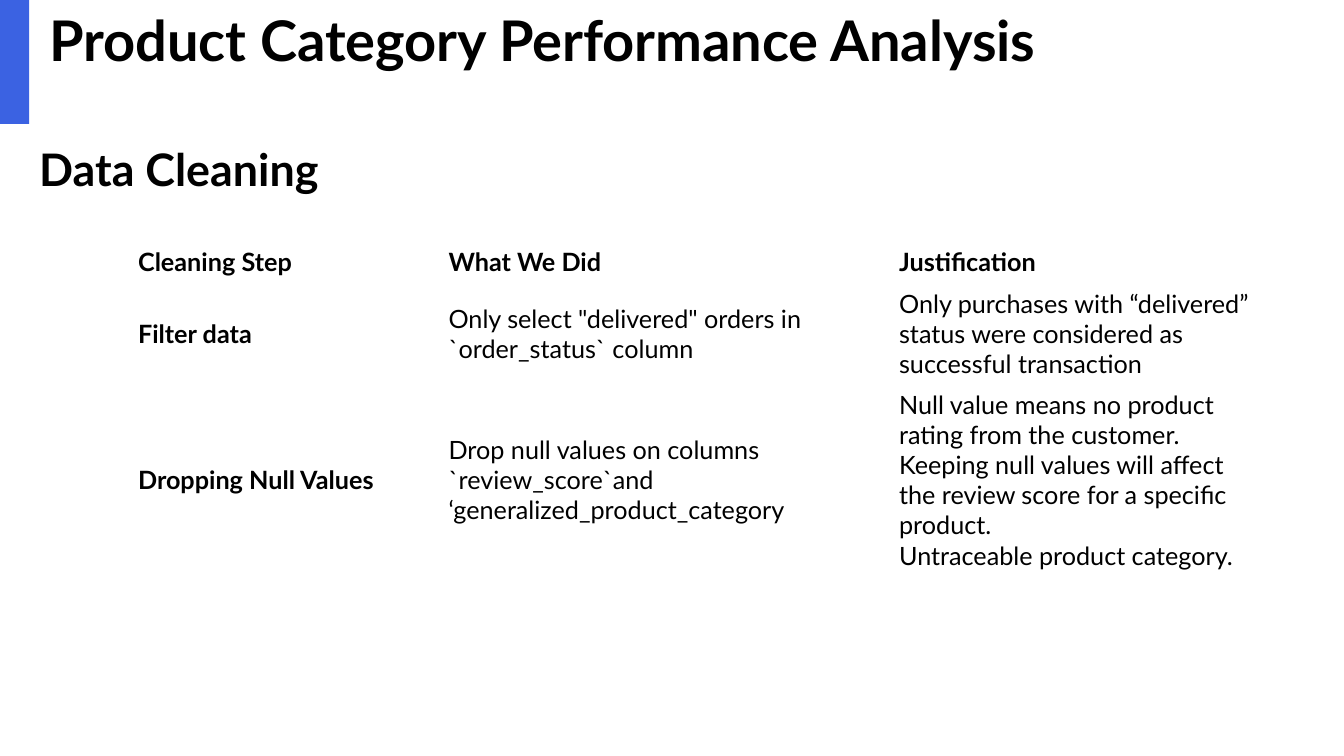
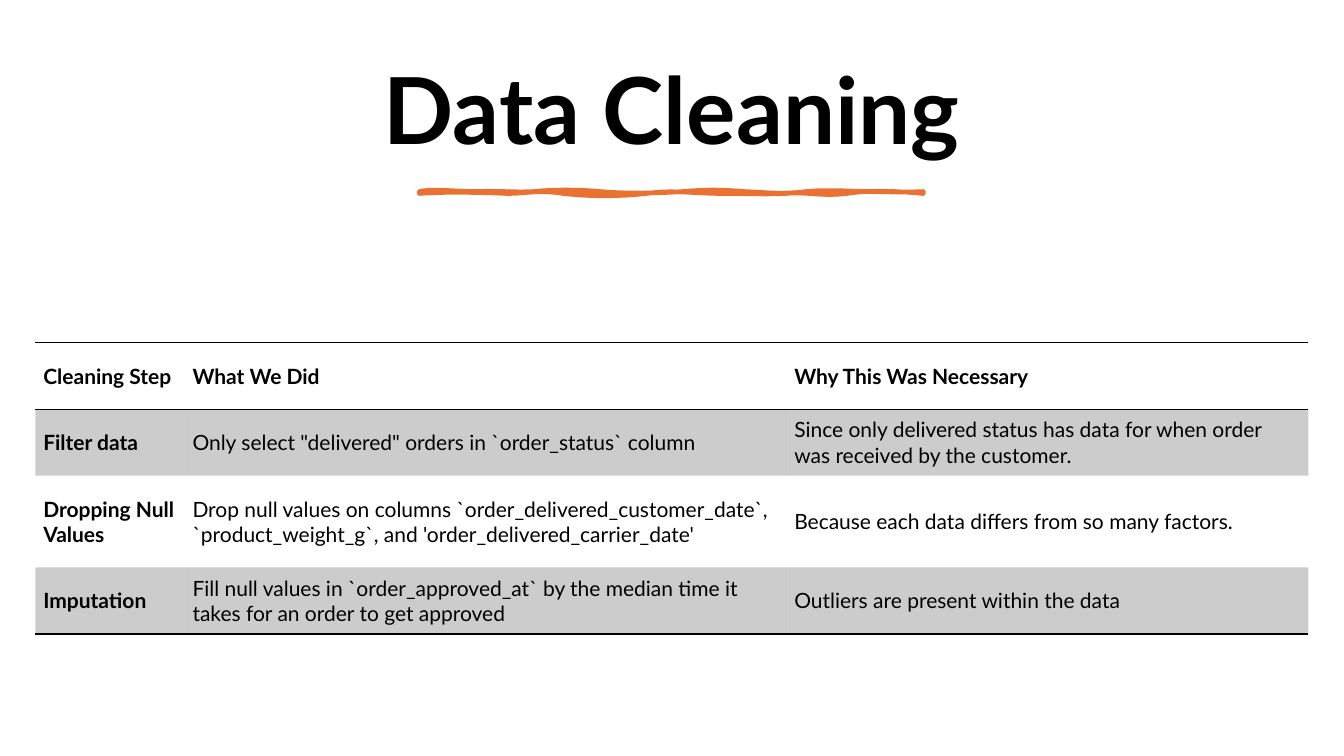
from lxml import etree
from pptx import Presentation
from pptx import util as u
from pptx.dml.color import RGBColor
from pptx.enum import shapes, text
from pptx.oxml import ns

PX = 9144  # EMU in one px, 100 px to the inch
FONT = "Lato"
COLORS = {"ink": "000000", "blue": "3B62E2", "rust": "E97132"}
PLAIN = "{2D5ABB26-0587-4C30-8999-92F81FD0307C}"  # table style without grid

STEPS = [
    ["Cleaning Step", "What We Did", "Justification"],
    ["Filter data",
     'Only select "delivered" orders in `order_status` column',
     "Only purchases with “delivered” status were considered as "
     "successful transaction"],
    ["Dropping Null Values",
     "Drop null values on columns `review_score`and\n"
     "‘generalized_product_category",
     "Null value means no product rating from the customer. Keeping null "
     "values will affect the review score for a specific product.\n"
     "Untraceable product category."],
    ["", "", ""],
]
REASONS = [
    ["Cleaning Step", "What We Did", "Why This Was Necessary"],
    ["Filter data",
     'Only select "delivered" orders in `order_status` column',
     "Since only delivered status has data for when order was received "
     "by the customer."],
    ["Dropping Null Values",
     "Drop null values on columns `order_delivered_customer_date`, "
     "`product_weight_g`, and 'order_delivered_carrier_date'",
     "Because each data differs from so many factors."],
    ["Imputation",
     "Fill null values in `order_approved_at` by the median time it takes "
     "for an order to get approved",
     "Outliers are present within the data"],
]

# Brush stroke: start point, then cubic curves (two handles and an end)
START = (416, 190)
CURVES = [
    (428, 187, 454, 190, 473, 190), (492, 189, 509, 191, 529, 190),
    (549, 188, 574, 188, 596, 190), (617, 192, 653, 192, 677, 190),
    (702, 188, 714, 188, 739, 190), (763, 191, 774, 193, 800, 190),
    (826, 187, 867, 192, 916, 190), (917, 191, 916, 191, 916, 192),
    (895, 190, 865, 188, 840, 192), (815, 195, 801, 190, 779, 192),
    (756, 193, 747, 192, 717, 192), (687, 192, 667, 188, 641, 192),
    (614, 195, 585, 195, 559, 192), (534, 188, 523, 192, 503, 192),
    (483, 191, 438, 190, 416, 192), (416, 191, 416, 190, 416, 190),
]


def rgb(name):
    return RGBColor.from_string(COLORS[name])


def emu(*vals):
    return [round(v * PX) for v in vals]


def write(frame, words, size, bold, align=text.PP_ALIGN.LEFT, gap=1.0):
    """Put each line of words in its own paragraph."""
    for i, line in enumerate(words.split("\n")):
        para = frame.paragraphs[0] if i == 0 else frame.add_paragraph()
        para.alignment, para.line_spacing = align, gap
        run = para.add_run()
        run.text = line
        font = run.font
        font.name, font.size, font.bold = FONT, u.Pt(size), bold
        font.color.rgb = rgb("ink")


def title(slide, words, box, size, align=text.PP_ALIGN.LEFT):
    frame = slide.shapes.add_textbox(*emu(*box)).text_frame
    frame.word_wrap = True
    frame.vertical_anchor = text.MSO_ANCHOR.MIDDLE
    write(frame, words, size, True, align, 0.9)


def band(slide, box, color):
    rect = slide.shapes.add_shape(shapes.MSO_SHAPE.RECTANGLE, *emu(*box))
    rect.shadow.inherit = False
    rect.fill.solid()
    rect.fill.fore_color.rgb = rgb(color)
    rect.line.fill.background()


def bend(shape, curves):
    """Turn the straight segments of a freeform into cubic curves."""
    lines = list(shape._element.iter(ns.qn("a:lnTo")))
    for line, curve in zip(lines, curves):
        cubic = etree.Element(ns.qn("a:cubicBezTo"))
        vals = emu(*curve)
        for x, y in zip(vals[::2], vals[1::2]):
            etree.SubElement(cubic, ns.qn("a:pt"), x=str(x - shape.left),
                             y=str(y - shape.top))
        line.getparent().replace(line, cubic)


def stroke(slide, color):
    path = slide.shapes.build_freeform(*emu(*START))
    path.add_line_segments([emu(*curve[4:]) for curve in CURVES], close=True)
    brush = path.convert_to_shape()
    bend(brush, CURVES)
    brush.shadow.inherit = False
    brush.fill.solid()
    brush.fill.fore_color.rgb = rgb(color)
    brush.line.color.rgb = rgb(color)
    brush.line.width = u.Pt(3.25)
    line = brush._element.spPr.find(ns.qn("a:ln"))
    etree.SubElement(line, ns.qn("a:round"))


def shade(cell, color, alpha):
    cell.fill.solid()
    cell.fill.fore_color.rgb = rgb(color)
    tone = cell._tc.tcPr.find(".//" + ns.qn("a:srgbClr"))
    etree.SubElement(tone, ns.qn("a:alpha"), val=str(alpha * 1000))


def rule(cell, sides):
    """Draw 1 pt borders; sides is drawn from T and B, in that order."""
    props = cell._tc.get_or_add_tcPr()
    for i, side in enumerate(sides):
        line = etree.Element(ns.qn("a:ln" + side), w=str(u.Pt(1)))
        fill = etree.SubElement(line, ns.qn("a:solidFill"))
        etree.SubElement(fill, ns.qn("a:srgbClr"), val=COLORS["ink"])
        props.insert(i, line)


def grid(slide, rows, spot, cols, highs, size, inset, lined=False):
    area = (*spot, sum(cols), sum(highs))
    table = slide.shapes.add_table(len(rows), len(cols), *emu(*area)).table
    table.first_row = table.horz_banding = False
    table._tbl.tblPr.find(ns.qn("a:tableStyleId")).text = PLAIN
    for col, wide in zip(table.columns, emu(*cols)):
        col.width = wide
    for row, high in zip(table.rows, emu(*highs)):
        row.height = high
    side, top = emu(*inset)
    last = len(rows) - 1
    for r, row in enumerate(rows):
        for c, words in enumerate(row):
            cell = table.cell(r, c)
            cell.vertical_anchor = text.MSO_ANCHOR.MIDDLE
            cell.margin_left = cell.margin_right = side
            cell.margin_top = cell.margin_bottom = top
            if words:
                write(cell.text_frame, words, size, r == 0 or c == 0)
            if lined and r % 2:
                shade(cell, "ink", 20)
            if lined and r in (0, last):
                rule(cell, "TB" if r == 0 else "B")


def main():
    deck = Presentation()
    deck.slide_width, deck.slide_height = u.Inches(13.333), u.Inches(7.5)
    blank = deck.slide_layouts[6]

    # Category analysis
    slide = deck.slides.add_slide(blank)
    band(slide, (-1, 0, 30, 123), "blue")
    grid(slide, STEPS, (127, 239), (308, 447, 378), (42, 68, 68, 68),
         18, (10, 5))
    title(slide, "Data Cleaning", (29, 137, 1138, 68), 32)
    title(slide, "Product Category Performance Analysis",
          (39, 6, 1150, 74), 40)

    # Cleaning steps with reasons
    slide = deck.slides.add_slide(blank)
    title(slide, "Data Cleaning", (70, 45, 1193, 137), 66,
          text.PP_ALIGN.CENTER)
    stroke(slide, "rust")
    grid(slide, REASONS, (35, 340), (148, 597, 518), (66, 66, 91, 66),
         15, (8, 4), lined=True)

    deck.save("out.pptx")


if __name__ == "__main__":
    main()
